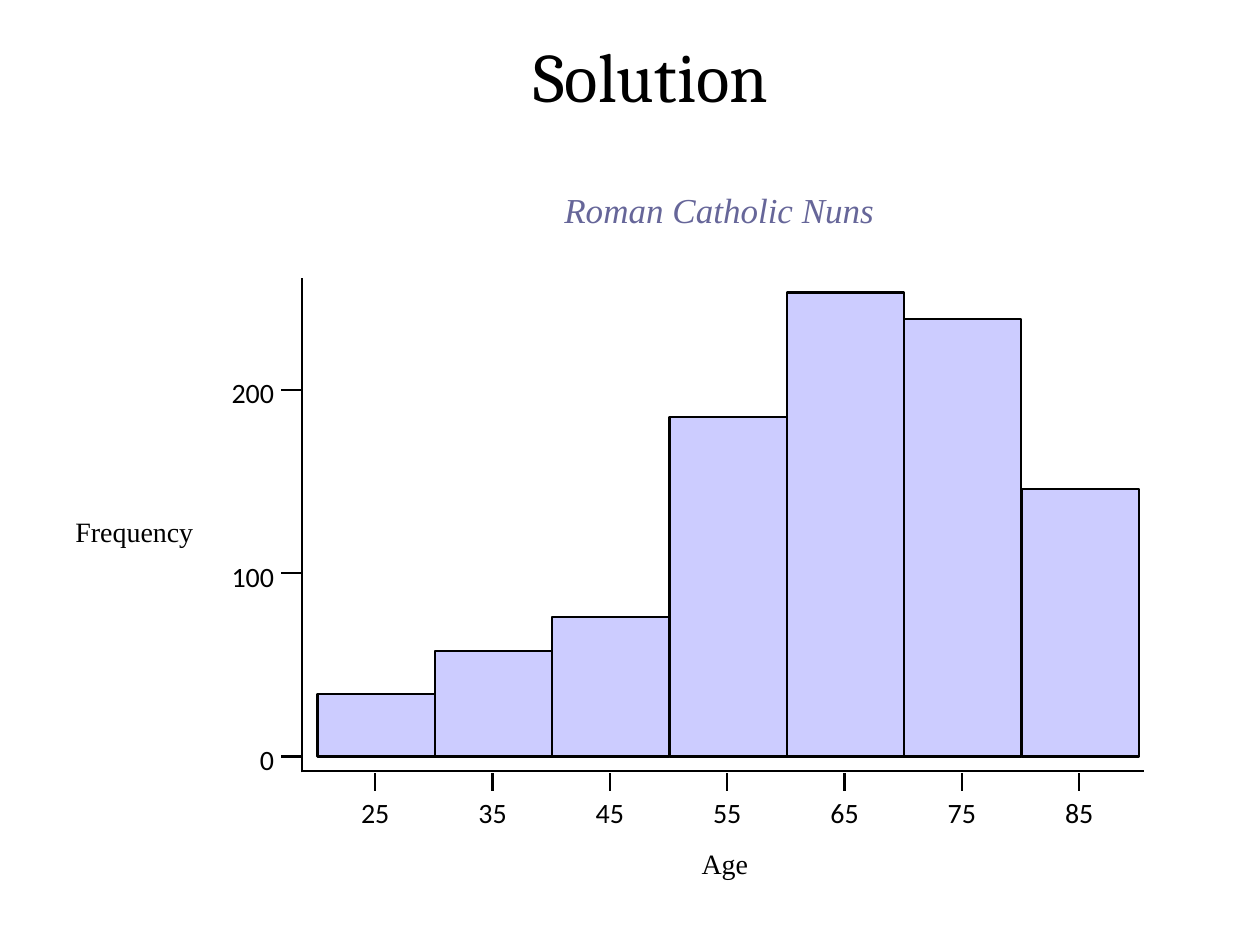
from lxml import etree
from pptx import Presentation
from pptx.dml.color import RGBColor
from pptx.enum import shapes, text
from pptx.oxml.ns import qn
from pptx.util import Pt

COLORS = {"ink": "000000", "bar": "CCCCFF", "subtitle": "666699"}

FREQUENCIES = {25: 34, 35: 57.5, 45: 76, 55: 185, 65: 253, 75: 238.5, 85: 146}
Y_TICKS = (200, 100, 0)

# text, (left, top, width, height), alignment, font format, colour
CAPTIONS = [
    ("Solution", (48, 13.5, 648, 58.5), "CENTER",
     {"name": "Cambria", "size": Pt(39.6)}, "ink"),
    ("Frequency", (36, 290.2, 87, 26.6), "LEFT",
     {"name": "Times New Roman", "size": Pt(16)}, "ink"),
    ("Age", (174.2, 480.2, 480, 26.6), "CENTER",
     {"name": "Times New Roman", "size": Pt(16)}, "ink"),
    ("Roman Catholic Nuns", (172, 104, 478, 31), "CENTER",
     {"name": "Times New Roman", "size": Pt(20), "italic": True}, "subtitle"),
]
TICK_FONT = {"name": "Calibri", "size": Pt(16)}
NO_MARGINS = dict.fromkeys(
    ("margin_left", "margin_right", "margin_top", "margin_bottom"), 0)

# Plot geometry in points
BARS_LEFT, BAR_WIDTH = 181.4, 67.05
BASELINE, PT_PER_COUNT = 432.3, 1.048
AXIS_X, AXIS_Y = 172.6, 440.4
AXIS_TOP, AXIS_RIGHT = 159, 654
LINE_WIDTH = 1.25
LABEL_WIDTH, LABEL_HEIGHT = 36, 19.5


def rgb(name):
    return RGBColor.from_string(COLORS[name])


def set_all(obj, values):
    for name, value in values.items():
        setattr(obj, name, value)


def add_text(s, content, box, align, font, color, frame=None):
    tf = s.shapes.add_textbox(*map(Pt, box)).text_frame
    set_all(tf, {"word_wrap": True,
                 "vertical_anchor": text.MSO_ANCHOR.MIDDLE, **(frame or {})})
    p = tf.paragraphs[0]
    p.alignment = getattr(text.PP_ALIGN, align)
    r = p.add_run()
    r.text = content
    set_all(r.font, font)
    r.font.color.rgb = rgb(color)


def add_line(s, *ends):
    line = s.shapes.add_connector(
        shapes.MSO_CONNECTOR.STRAIGHT, *map(Pt, ends))
    line.line.color.rgb = rgb("ink")
    line.line.width = Pt(LINE_WIDTH)
    etree.SubElement(line._element.spPr, qn("a:effectLst"))


def add_bar(s, left, count):
    height = count * PT_PER_COUNT
    sp = s.shapes.add_shape(
        shapes.MSO_SHAPE.RECTANGLE,
        *map(Pt, (left, BASELINE - height, BAR_WIDTH, height)))
    sp.shadow.inherit = False
    sp.fill.solid()
    sp.fill.fore_color.rgb = rgb("bar")
    sp.line.color.rgb = rgb("ink")
    sp.line.width = Pt(LINE_WIDTH)


def add_tick_label(s, value, left, top, align):
    add_text(s, str(value), (left, top, LABEL_WIDTH, LABEL_HEIGHT),
             align, TICK_FONT, "ink", NO_MARGINS)


def add_histogram(s):
    for y_value in Y_TICKS:
        y = BASELINE - y_value * PT_PER_COUNT
        add_line(s, AXIS_X, y, AXIS_X - 12, y)
        add_tick_label(s, y_value, 156.6 - LABEL_WIDTH, y - 8, "RIGHT")
    add_line(s, AXIS_X, AXIS_Y, AXIS_RIGHT, AXIS_Y)
    add_line(s, AXIS_X, AXIS_Y + 1, AXIS_X, AXIS_TOP)

    for i, (age, count) in enumerate(FREQUENCIES.items()):
        left = BARS_LEFT + i * BAR_WIDTH
        center = left + BAR_WIDTH / 2 - 0.5
        add_bar(s, left, count)
        add_line(s, center, 442, center, 452)
        add_tick_label(s, age, center - LABEL_WIDTH / 2, 454.3, "CENTER")


def main():
    prs = Presentation()
    prs.slide_width, prs.slide_height = Pt(720), Pt(540)
    s = prs.slides.add_slide(prs.slide_layouts[6])
    add_histogram(s)
    for caption in CAPTIONS:
        add_text(s, *caption)
    prs.save("out.pptx")


if __name__ == "__main__":
    main()
